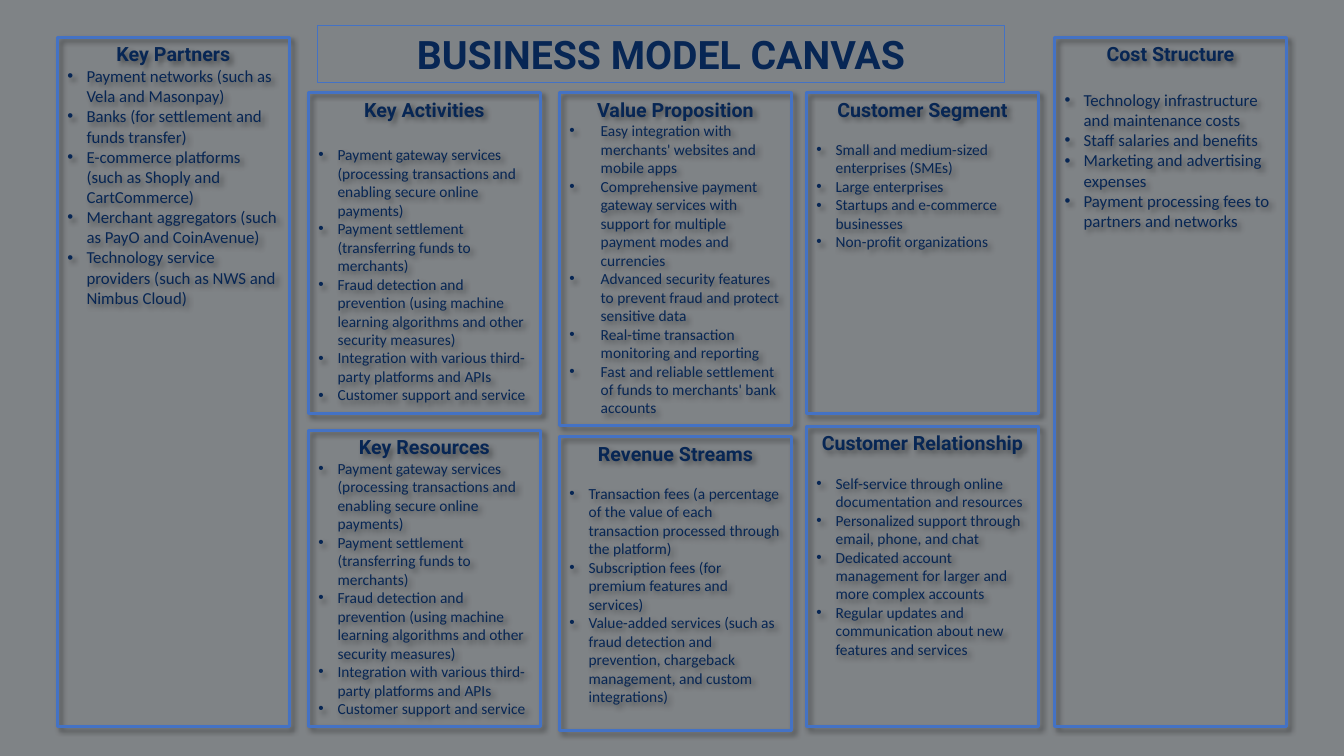
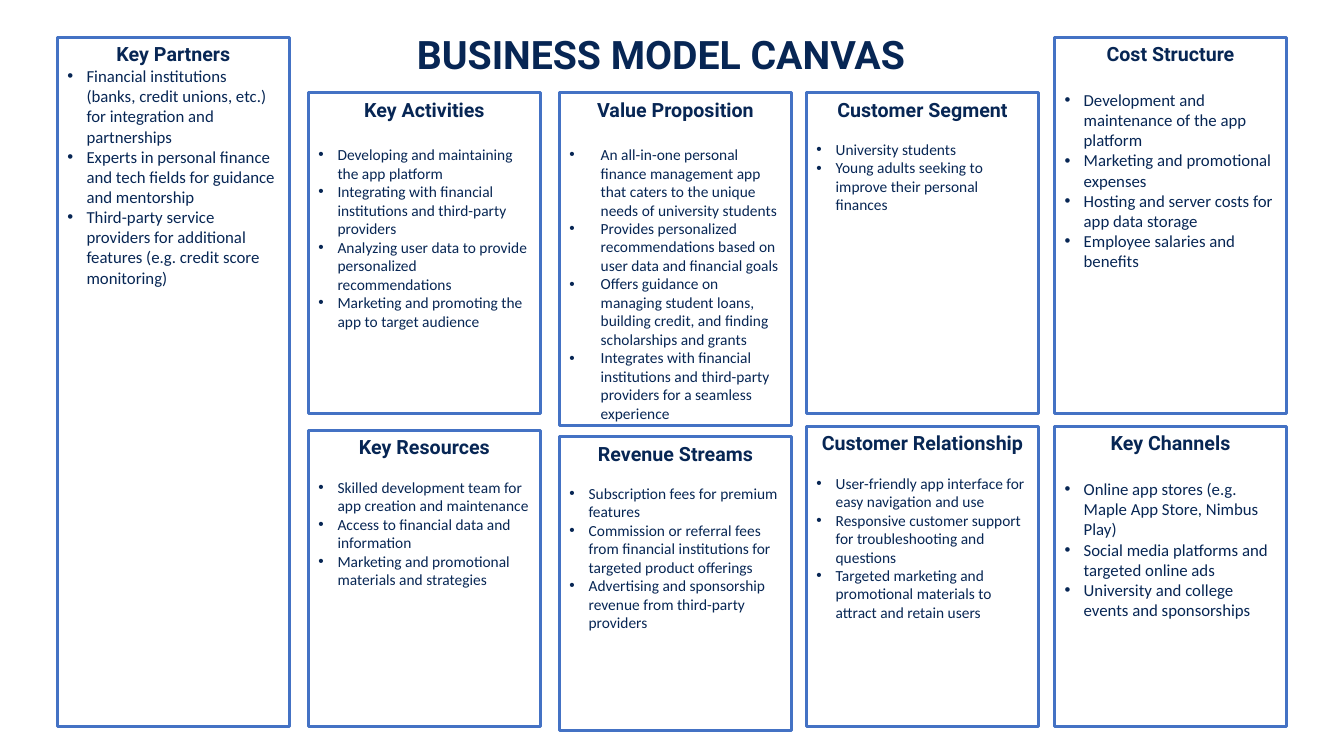
from dataclasses import dataclass

from lxml.etree import SubElement
from pptx import Presentation
from pptx.dml.color import RGBColor as Rgb
from pptx.enum.shapes import MSO_SHAPE as Shape
from pptx.enum.text import MSO_ANCHOR as Anchor, MSO_AUTO_SIZE as AutoSize, PP_ALIGN as Align
from pptx.oxml.ns import qn
from pptx.util import Inches, Pt


@dataclass(frozen=True)
class Theme:
    ink: str = "072654"
    frame: str = "4472C4"
    shade: str = "000000"
    slate: str = "7F8386"
    white: str = "FFFFFF"
    heading_font: str = "Roboto"
    body_font: str = "Calibri"
    title_size: int = 28
    heading_size: int = 14
    large_size: int = 12
    small_size: int = 11
    title_line: float = 0.75
    frame_line: float = 2.25
    line_height: float = 1.22


@dataclass(frozen=True)
class Slot:
    """Where a card sits: a column, its two row lines, and its list style."""
    column: int
    start: str
    end: str
    size: int = Theme.small_size
    indent: float = 0.19


SLIDE_SIZE = (13.33, 7.5)
COLUMNS = (0.57, 3.06, 5.55, 8.0, 10.46)
COLUMN_WIDTH = 2.3
ROWS = {
    "top": 0.37, "shelf": 0.92,
    "upper end": 4.1, "value end": 4.22,
    "lower": 4.23, "resources": 4.27, "revenue": 4.33,
    "bottom": 7.21, "revenue end": 7.25,
}
TITLE = "BUSINESS MODEL CANVAS"
TITLE_AREA = (3.15, 0.25, 6.81, 0.57)

SLOTS = {
    "Key Partners": Slot(0, "top", "bottom", Theme.large_size),
    "Key Activities": Slot(1, "shelf", "upper end"),
    "Value Proposition": Slot(2, "shelf", "value end", indent=0.31),
    "Key Resources": Slot(1, "resources", "bottom"),
    "Customer Segment": Slot(3, "shelf", "upper end"),
    "Customer Relationship": Slot(3, "lower", "bottom"),
    "Revenue Streams": Slot(2, "revenue", "revenue end"),
    "Cost Structure": Slot(4, "top", "bottom", Theme.large_size),
}
SPLIT_SLOTS = SLOTS | {
    "Cost Structure": Slot(4, "top", "upper end", Theme.large_size),
    "Key Channels": Slot(4, "lower", "bottom", Theme.large_size),
}

# Each card: the size of the gap line under its heading, then its bullets.
GATEWAY_WORK = [
    "Payment gateway services (processing transactions and enabling secure online payments)",
    "Payment settlement (transferring funds to merchants)",
    "Fraud detection and prevention (using machine learning algorithms and other security measures)",
    "Integration with various third-party platforms and APIs",
    "Customer support and service",
]
PAYMENT_GATEWAY = {
    "Key Partners": (0, [
        "Payment networks (such as Vela and Masonpay)",
        "Banks (for settlement and funds transfer)",
        "E-commerce platforms (such as Shoply and CartCommerce)",
        "Merchant aggregators (such as PayO and CoinAvenue)",
        "Technology service providers (such as NWS and Nimbus Cloud)",
    ]),
    "Key Activities": (14, GATEWAY_WORK),
    "Value Proposition": (0, [
        "Easy integration with merchants' websites and mobile apps",
        "Comprehensive payment gateway services with support for multiple payment modes and currencies",
        "Advanced security features to prevent fraud and protect sensitive data",
        "Real-time transaction monitoring and reporting",
        "Fast and reliable settlement of funds to merchants' bank accounts",
    ]),
    "Key Resources": (0, GATEWAY_WORK),
    "Customer Segment": (11, [
        "Small and medium-sized enterprises (SMEs)",
        "Large enterprises",
        "Startups and e-commerce businesses",
        "Non-profit organizations",
    ]),
    "Customer Relationship": (11, [
        "Self-service through online documentation and resources",
        "Personalized support through email, phone, and chat",
        "Dedicated account management for larger and more complex accounts",
        "Regular updates and communication about new features and services",
    ]),
    "Revenue Streams": (11, [
        "Transaction fees (a percentage of the value of each transaction processed through the platform)",
        "Subscription fees (for premium features and services)",
        "Value-added services (such as fraud detection and prevention, chargeback management, "
        "and custom integrations)",
    ]),
    "Cost Structure": (14, [
        "Technology infrastructure and maintenance costs",
        "Staff salaries and benefits",
        "Marketing and advertising expenses",
        "Payment processing fees to partners and networks",
    ]),
}
STUDENT_FINANCE = {
    "Key Partners": (0, [
        "Financial institutions (banks, credit unions, etc.) for integration and partnerships",
        "Experts in personal finance and tech fields for guidance and mentorship",
        "Third-party service providers for additional features (e.g. credit score monitoring)",
    ]),
    "Key Activities": (14, [
        "Developing and maintaining the app platform",
        "Integrating with financial institutions and third-party providers",
        "Analyzing user data to provide personalized recommendations",
        "Marketing and promoting the app to target audience",
    ]),
    "Value Proposition": (14, [
        "An all-in-one personal finance management app that caters to the unique needs of "
        "university students",
        "Provides personalized recommendations based on user data and financial goals",
        "Offers guidance on managing student loans, building credit, and finding scholarships and grants",
        "Integrates with financial institutions and third-party providers for a seamless experience",
    ]),
    "Key Resources": (11, [
        "Skilled development team for app creation and maintenance",
        "Access to financial data and information",
        "Marketing and promotional materials and strategies",
    ]),
    "Customer Segment": (11, [
        "University students",
        "Young adults seeking to improve their personal finances",
    ]),
    "Customer Relationship": (11, [
        "User-friendly app interface for easy navigation and use",
        "Responsive customer support for troubleshooting and questions",
        "Targeted marketing and promotional materials to attract and retain users",
    ]),
    "Revenue Streams": (11, [
        "Subscription fees for premium features",
        "Commission or referral fees from financial institutions for targeted product offerings",
        "Advertising and sponsorship revenue from third-party providers",
    ]),
    "Cost Structure": (14, [
        "Development and maintenance of the app platform",
        "Marketing and promotional expenses",
        "Hosting and server costs for app data storage",
        "Employee salaries and benefits",
    ]),
    "Key Channels": (14, [
        "Online app stores (e.g. Maple App Store, Nimbus Play)",
        "Social media platforms and targeted online ads",
        "University and college events and sponsorships",
    ]),
}


class Canvas:
    """Holds the theme and the slide being drawn."""

    def __init__(self, theme):
        self.theme = theme
        self.deck = Presentation()
        self.deck.slide_width, self.deck.slide_height = map(Inches, SLIDE_SIZE)
        self.slide = None

    def new_slide(self, backdrop):
        self.slide = self.deck.slides.add_slide(self.deck.slide_layouts[6])
        fill = self.slide.background.fill
        fill.solid()
        fill.fore_color.rgb = Rgb.from_string(backdrop)

    def outline(self, shape, width):
        shape.line.color.rgb = Rgb.from_string(self.theme.frame)
        shape.line.width = Pt(width)

    def add_text(self, paragraph, text, font, size, bold=False):
        run = paragraph.add_run()
        run.text = text
        run.font.name, run.font.size, run.font.bold = font, Pt(size), bold
        run.font.color.rgb = Rgb.from_string(self.theme.ink)

    def title(self, text, framed):
        box = self.slide.shapes.add_textbox(*map(Inches, TITLE_AREA))
        if framed:
            self.outline(box, self.theme.title_line)
        frame = box.text_frame
        frame.word_wrap = True
        frame.auto_size = AutoSize.SHAPE_TO_FIT_TEXT
        paragraph = frame.paragraphs[0]
        paragraph.alignment = Align.CENTER
        self.add_text(paragraph, text, self.theme.heading_font, self.theme.title_size, True)

    def shadow(self, shape):
        effects = shape._element.spPr.find(qn("a:effectLst"))
        outer = SubElement(effects, qn("a:outerShdw"), blurRad=str(Pt(4)), dist=str(Pt(3)),
                           dir=str(45 * 60000), algn="tl", rotWithShape="0")
        color = SubElement(outer, qn("a:srgbClr"), val=self.theme.shade)
        SubElement(color, qn("a:alpha"), val="40000")

    def bullet(self, paragraph, text, size, indent):
        paragraph.alignment = Align.LEFT
        properties = paragraph._p.get_or_add_pPr()
        properties.set("marL", str(Inches(indent)))
        properties.set("indent", str(-Inches(indent)))
        SubElement(properties, qn("a:buFont"), typeface="Arial")
        SubElement(properties, qn("a:buChar"), char="•")
        self.add_text(paragraph, text, self.theme.body_font, size)

    def card(self, slot, heading, gap_size, bullets, shaded):
        top, bottom = ROWS[slot.start], ROWS[slot.end]
        area = (COLUMNS[slot.column], top, COLUMN_WIDTH, bottom - top)
        card = self.slide.shapes.add_shape(Shape.RECTANGLE, *map(Inches, area))
        card.shadow.inherit = False
        card.fill.background()
        self.outline(card, self.theme.frame_line)
        if shaded:
            self.shadow(card)
        frame = card.text_frame
        frame.word_wrap = True
        frame.vertical_anchor = Anchor.TOP
        head = frame.paragraphs[0]
        head.alignment = Align.CENTER
        head.space_after = Pt(round(gap_size * self.theme.line_height, 1))
        self.add_text(head, heading, self.theme.heading_font, self.theme.heading_size, True)
        for text in bullets:
            self.bullet(frame.add_paragraph(), text, slot.size, slot.indent)

    def business_model(self, backdrop, slots, cards, accented):
        """Draw one whole slide; accented adds the title frame and card shadows."""
        self.new_slide(backdrop)
        self.title(TITLE, framed=accented)
        for heading, (gap_size, bullets) in cards.items():
            self.card(slots[heading], heading, gap_size, bullets, shaded=accented)


def main():
    theme = Theme()
    canvas = Canvas(theme)
    canvas.business_model(theme.slate, SLOTS, PAYMENT_GATEWAY, accented=True)
    canvas.business_model(theme.white, SPLIT_SLOTS, STUDENT_FINANCE, accented=False)
    canvas.deck.save("out.pptx")


if __name__ == "__main__":
    main()
